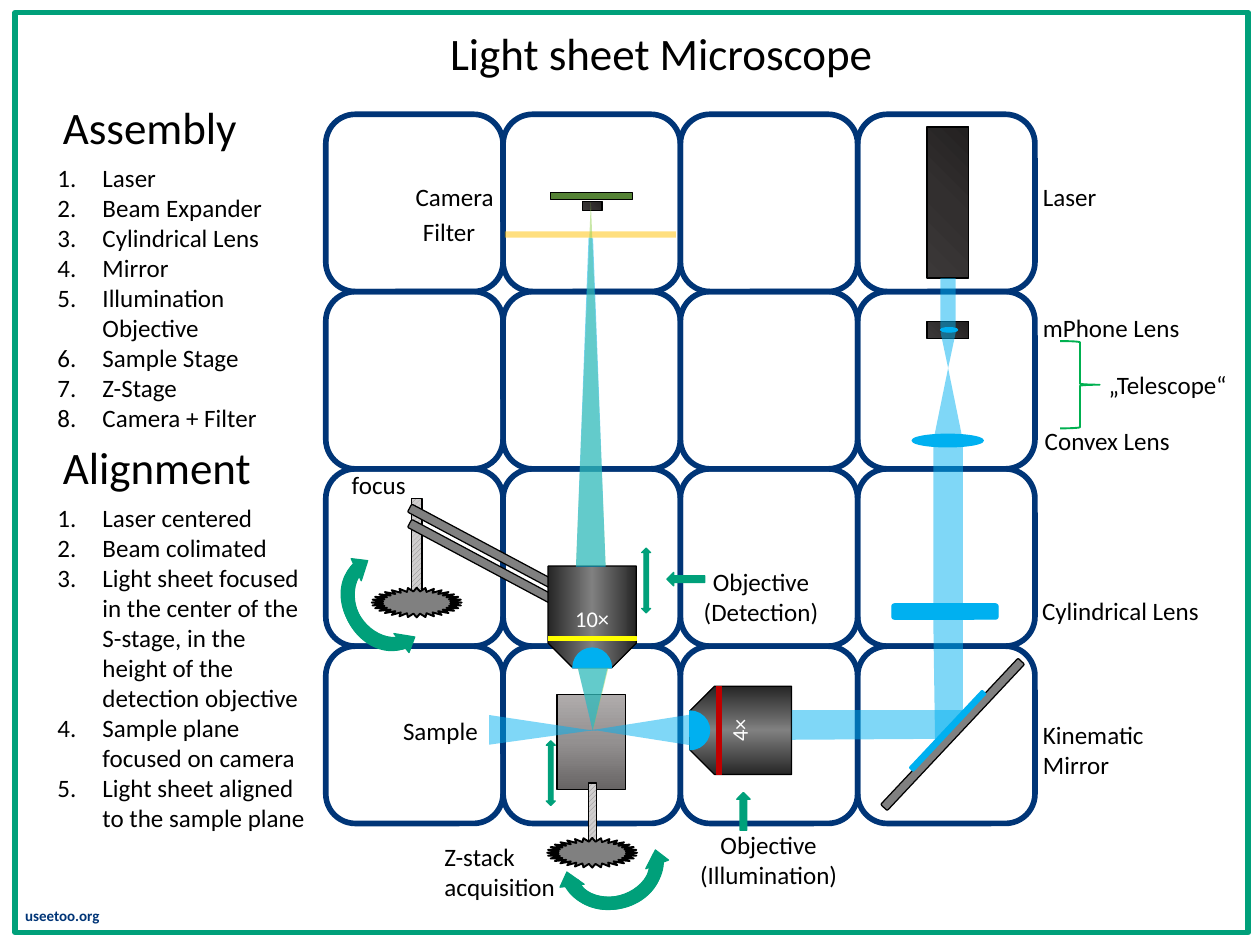
from pptx import Presentation, util as u
from pptx.dml.color import RGBColor
from pptx.enum import dml, shapes, text
from pptx.oxml import parse_xml
from pptx.oxml.ns import nsdecls, qn

COLS, ROWS = 140, 105          # the slide is a grid of 0.1 inch squares
KIND = shapes.MSO_SHAPE
BLACK = RGBColor(0, 0, 0)
WHITE = RGBColor(255, 255, 255)
GREEN = RGBColor(0x00, 0xA0, 0x7A)
NAVY = RGBColor(0x00, 0x35, 0x77)
SKY = RGBColor(0x00, 0xB0, 0xF0)
LIME = RGBColor(0x92, 0xD0, 0x50)
GRAY = RGBColor(0x80, 0x80, 0x80)
PALE = RGBColor(0xD0, 0xCE, 0xCE)
AMBER = RGBColor(0xFF, 0xC0, 0x00)
YELLOW = RGBColor(0xFF, 0xFF, 0x00)
RED = RGBColor(0xC0, 0x00, 0x00)
BOARD = RGBColor(0x54, 0x82, 0x35)
BRACE = RGBColor(0x00, 0xB0, 0x50)

# Three gradient stops and a direction
ROUND = '<a:path path="circle"><a:fillToRect l="100000" b="100000"/></a:path>'
DARK = (("232121", "322F2F", "3B3838"), ROUND)
STEEL = (("262626", "808080", "262626"), '<a:lin ang="0" scaled="0"/>')
STAGE = (("686565", "939090", "AFABAB"), '<a:lin ang="16200000" scaled="0"/>')


def grid(*vals):
    return [u.Inches(val / 10) for val in vals]


def shade(shape, look):
    stops, way = look
    marks = "".join(f'<a:gs pos="{50000 * i}"><a:srgbClr val="{hue}"/></a:gs>'
                    for i, hue in enumerate(stops))
    props = shape.element.spPr
    props.replace(props.find(qn("a:noFill")), parse_xml(
        f'<a:gradFill rotWithShape="1" {nsdecls("a")}>'
        f'<a:gsLst>{marks}</a:gsLst>{way}</a:gradFill>'))


def fade(shape, color):
    """Half transparent fill without an outline."""
    shape.shadow.inherit = False
    shape.line.fill.background()
    shape.fill.solid()
    shape.fill.fore_color.rgb = color
    hue = shape.element.spPr.find(qn("a:solidFill"))[0]
    hue.append(parse_xml(f'<a:alpha {nsdecls("a")} val="50000"/>'))


def draw(slide, kind, at, fill=None, line=BLACK, rot=0, pt=1, adj=()):
    shape = slide.shapes.add_shape(kind, *grid(*at))
    shape.shadow.inherit = False
    shape.rotation = rot
    for i, val in enumerate(adj):
        shape.adjustments[i] = val
    shape.line.color.rgb = line
    shape.line.width = u.Pt(pt)
    shape.fill.background()
    if isinstance(fill, RGBColor):
        shape.fill.solid()
        shape.fill.fore_color.rgb = fill
    elif fill:
        shade(shape, fill)
    return shape


def beam(slide, kind, at, color=SKY, rot=0, adj=()):
    fade(draw(slide, kind, at, rot=rot, adj=adj), color)


def prism(slide, *pts):
    pts = [grid(*pt) for pt in pts]
    path = slide.shapes.build_freeform(*pts[0], scale=1.0)
    path.add_line_segments(pts[1:], close=True)
    fade(path.convert_to_shape(), SKY)


def style(frame, size, color, bold=False, align=None):
    for para in frame.paragraphs:
        para.alignment = align
        for run in para.runs:
            run.font.name = "Calibri"
            run.font.size = u.Pt(size)
            run.font.bold = bold
            run.font.color.rgb = color


def label(slide, words, at, size=20, color=BLACK, bold=False, wrap=False,
          align=None, rot=0):
    box = slide.shapes.add_textbox(*grid(*at))
    box.rotation = rot
    frame = box.text_frame
    frame.word_wrap = wrap
    frame.auto_size = text.MSO_AUTO_SIZE.SHAPE_TO_FIT_TEXT
    frame.text = words
    style(frame, size, color, bold, align)
    return frame


def steps(slide, head, items, top, high):
    """A heading with a numbered list under it."""
    label(slide, head, (6, top, 24, 7.1), 36)
    frame = label(slide, "\n".join(items), (5.4, top + 7, 29.5, high), wrap=True)
    for para in frame.paragraphs:
        props = para._p.get_or_add_pPr()
        props.set("marL", str(u.Inches(0.5)))
        props.set("indent", str(-u.Inches(0.5)))
        props.append(parse_xml(f'<a:buFont {nsdecls("a")} typeface="+mj-lt"/>'))
        props.append(parse_xml(
            f'<a:buAutoNum {nsdecls("a")} type="arabicPeriod"/>'))


def lens(slide, name, mid, way, rot, band, turn):
    """Objective: body, front lens, colour band; way points to the front."""
    def spot(off, w, h):
        return (mid[0] + off * way[0] - w / 2, mid[1] + off * way[1] - h / 2, w, h)
    draw(slide, KIND.SNIP_2_SAME_RECTANGLE, spot(0, 9.8, 11.3), STEEL,
         rot=rot, adj=(0.28, 0))
    draw(slide, KIND.PIE, spot(5.65, 4.3, 4.4), SKY, SKY, rot, adj=(0, 107.66))
    draw(slide, KIND.RECTANGLE, spot(2.4, 9.8, 0.5), band, band, rot)
    label(slide, name, spot(0.2, 5.8, 4), 18, WHITE, rot=turn,
          align=text.PP_ALIGN.CENTER)


def knob(slide, mid, top, wide, high, wheel):
    rod = draw(slide, KIND.RECTANGLE, (mid - wide / 2, top, wide, high), rot=180)
    rod.fill.patterned()
    rod.fill.pattern = dml.MSO_PATTERN.WIDE_UPWARD_DIAGONAL
    rod.fill.fore_color.rgb = GRAY
    rod.fill.back_color.rgb = PALE
    draw(slide, KIND.STAR_32_POINT, (mid - 5, wheel, 10, 3.3), GRAY, rot=180, pt=1.5)


def turn(slide, *ends):
    """Two mirrored bent arrows that make one double arrow."""
    for i, (x, y, rot) in enumerate(ends):
        bow = draw(slide, KIND.CIRCULAR_ARROW, (x, y, 12.6, 10.8), GREEN, GREEN, rot)
        bow.element.spPr.xfrm.set("flipH", str(i))


def frame(slide):
    draw(slide, KIND.RECTANGLE, (1.7, 1.4, COLS - 3, ROWS - 2.8), line=GREEN, pt=4.5)
    label(slide, "useetoo.org", (1.8, 100.2, 11.5, 3), 12, NAVY, True, True)
    title = slide.shapes.title
    title.left, title.top, title.width, title.height = grid(49, 2.3, 49.1, 7.1)
    title.text_frame.text = "Light sheet Microscope"
    title.text_frame.word_wrap = False
    title.text_frame.vertical_anchor = text.MSO_ANCHOR.TOP
    style(title.text_frame, 36, BLACK, align=text.PP_ALIGN.LEFT)


def parts(slide):
    draw(slide, KIND.RECTANGLE, (61.9, 77.2, 7.6, 10.5), STAGE)
    # Cube grid
    side = 19.7
    for row in range(4):
        for col in range(4):
            draw(slide, KIND.ROUNDED_RECTANGLE,
                 (36.2 + col * side, 12.7 + row * side, side, side), line=NAVY, pt=4.5)
    # Focus drive and objectives
    knob(slide, 46.3, 55.4, 1.2, 11.6, 65.3)
    for top in (61.2, 62.9):
        draw(slide, KIND.ROUNDED_RECTANGLE, (44.2, top, 22.3, 1), GRAY, rot=28.1)
    lens(slide, "10×", (65.8, 68.55), (0, 1), 180, YELLOW, 0)
    # Mirror
    draw(slide, KIND.ROUNDED_RECTANGLE, (94.7, 81.1, 22.3, 1), GRAY, rot=313.2)
    draw(slide, KIND.ROUNDED_RECTANGLE, (99.4, 80.9, 11.8, 0.6), SKY, SKY, 313.2)
    lens(slide, "4×", (82.3, 81.15), (-1, 0), 270, RED, 270)
    # Lenses, laser and camera
    draw(slide, KIND.OVAL, (101.35, 48.25, 7.9, 1.4), SKY, SKY)
    draw(slide, KIND.RECTANGLE, (103, 35.7, 4.6, 1.9), DARK)
    draw(slide, KIND.OVAL, (104.5, 36.4, 1.9, 0.5), SKY, SKY)
    draw(slide, KIND.ROUNDED_RECTANGLE, (99.1, 67.1, 11.8, 1.7), SKY, SKY)
    draw(slide, KIND.RECTANGLE, (103, 14.1, 4.6, 16.8), DARK)
    draw(slide, KIND.RECTANGLE, (61.2, 21.4, 9.1, 0.8), BOARD)
    draw(slide, KIND.RECTANGLE, (64.7, 22.4, 2.2, 1), DARK)


def light(slide):
    cone = KIND.ISOSCELES_TRIANGLE
    # Laser path
    beam(slide, KIND.RECTANGLE, (104.5, 30.9, 1.7, 5.6))
    beam(slide, KIND.RECTANGLE, (103.7, 49.3, 3.3, 18.1))
    beam(slide, cone, (103.7, 40.9, 3.3, 8.1))
    beam(slide, cone, (104.5, 36.9, 1.7, 4), rot=180)
    beam(slide, cone, (69.6, 75.7, 3.4, 10.8), rot=270)
    beam(slide, cone, (58.4, 75.4, 3.3, 11.4), rot=90, adj=(0.52,))
    prism(slide, (103.7, 68.7), (107, 68.7), (107, 79.1), (103.9, 82.2))
    prism(slide, (88, 78.9), (88, 82.2), (104.1, 82.1), (107.4, 78.9))
    # Detection path
    beam(slide, cone, (64.2, 74.2, 3.4, 6.9), LIME, 180)
    beam(slide, KIND.RECTANGLE, (56.1, 25.7, 19, 0.7), AMBER)
    beam(slide, cone, (64.2, 74.2, 3.3, 7), rot=180)
    beam(slide, cone, (64, 22.4, 3.3, 40.5), LIME)
    prism(slide, (65.4, 26.4), (65.9, 26.5), (67.3, 63), (64, 63))
    beam(slide, KIND.RECTANGLE, (65.5, 81.1, 0.8, 0.1))


def notes(slide):
    for words, x, y, w in (
            ("Laser", 114.9, 19.7, 8), ("mPhone Lens", 114.9, 34.2, 18),
            ("Convex Lens", 115.1, 46.8, 16), ("„Telescope“", 122.2, 40.6, 15.3),
            ("Cylindrical Lens", 114.8, 65.7, 19.6),
            ("Kinematic\nMirror", 114.9, 79.4, 14), ("focus", 38.1, 51.7, 8.1),
            ("Filter", 46, 23.6, 7.9), ("Camera", 45.2, 19.7, 10.8),
            ("Sample", 43.8, 79, 10.4)):
        label(slide, words, (x, y, w, 4.4))
    for use, at in (("Illumination", (76.7, 91.7, 17.4, 7.7)),
                    ("Detection", (77.1, 62.4, 14.9, 7.7))):
        label(slide, f"Objective\n({use})", at, align=text.PP_ALIGN.CENTER)
    # Stage drive and motion arrows
    knob(slide, 65.8, 87, 0.9, 7.7, 93.1)
    turn(slide, (36.6, 61.4, 245.6), (36.7, 61.5, 231.5))
    turn(slide, (61.6, 90.9, 173.1), (61.9, 90.8, 159.1))
    for x, y in ((71.3, 60.9), (60.7, 82.3)):
        draw(slide, KIND.UP_DOWN_ARROW, (x, y, 1, 7.2), GREEN, GREEN)
    draw(slide, KIND.RIGHT_BRACE, (117.8, 37.9, 4.4, 9.7), line=BRACE, pt=1.5,
         adj=(0.03, 0.5))
    for x, y, rot in ((74.1, 63.6, 180), (80.5, 89.4, 270)):
        draw(slide, KIND.RIGHT_ARROW, (x, y, 4.2, 1.5), GREEN, GREEN, rot)
    label(slide, "Z-stack\nacquisition", (48.4, 93, 14.6, 7.7), wrap=True)


def main():
    deck = Presentation()
    deck.slide_width, deck.slide_height = grid(COLS, ROWS)
    slide = deck.slides.add_slide(deck.slide_layouts[5])
    frame(slide)
    steps(slide, "Assembly", (
        "Laser", "Beam Expander", "Cylindrical Lens", "Mirror",
        "Illumination Objective", "Sample Stage", "Z-Stage", "Camera + Filter"),
        10.6, 31.3)
    steps(slide, "Alignment", (
        "Laser centered", "Beam colimated",
        "Light sheet focused in the center of the S-stage, in the height of the "
        "detection objective", "Sample plane focused on camera",
        "Light sheet aligned to the sample plane"), 48.3, 38)
    parts(slide)
    light(slide)
    notes(slide)
    deck.save("out.pptx")


if __name__ == "__main__":
    main()
